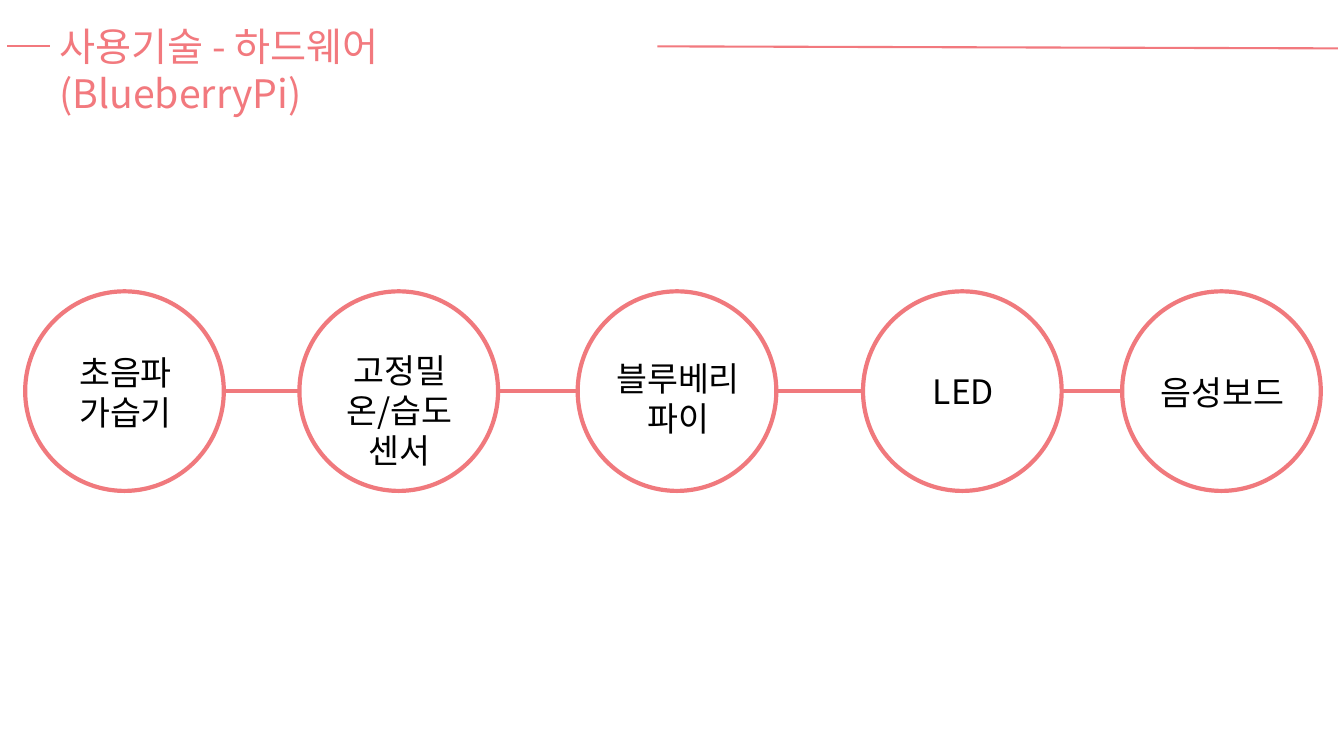
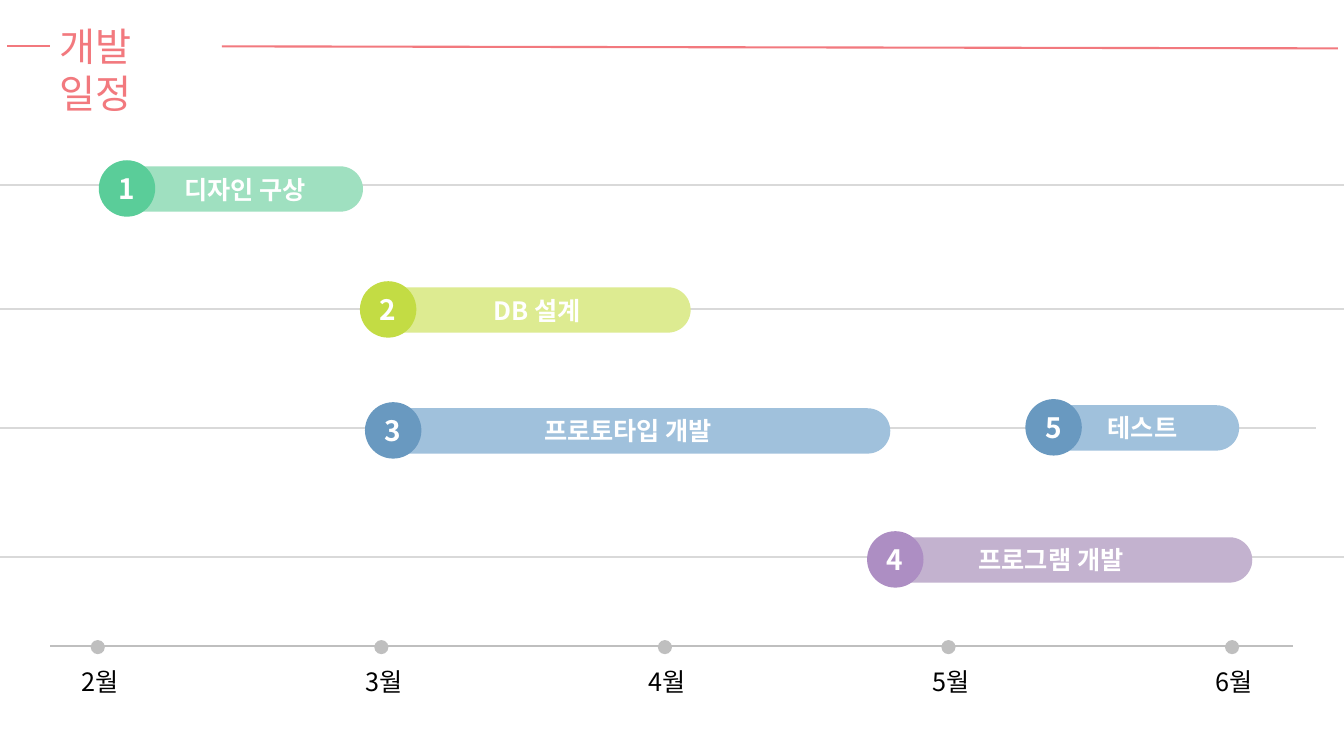
from dataclasses import dataclass

from lxml import etree
from pptx import Presentation
from pptx import util as u
from pptx.dml import color
from pptx.enum import shapes, text
from pptx.oxml import ns


@dataclass(frozen=True)
class Theme:
    font: str = "Noto Sans CJK KR"
    coral: str = "F2797E"
    ring: str = "F0797D"
    white: str = "FFFFFF"
    black: str = "000000"
    grid: str = "D9D9D9"
    axis: str = "BFBFBF"
    title: int = 28
    node: int = 24
    number: int = 20
    label: int = 18


theme = Theme()


def write(frame, words, size, ink, bold=False, align=text.PP_ALIGN.LEFT,
          anchor=text.MSO_ANCHOR.TOP, wrap=True, inset=0.1):
    frame.text = words
    frame.word_wrap = wrap
    frame.auto_size = text.MSO_AUTO_SIZE.NONE
    frame.vertical_anchor = anchor
    frame.margin_left = u.Inches(inset)
    for paragraph in frame.paragraphs:
        paragraph.alignment = align
        for run in paragraph.runs:
            run.font.name = theme.font
            run.font.size = u.Pt(size)
            run.font.bold = bold
            run.font.color.rgb = color.RGBColor.from_string(ink)
            east = etree.SubElement(run.font._element, ns.qn("a:ea"))
            east.set("typeface", theme.font)


def draw(slide, kind, box, ink, width=1.5, edge=None):
    lengths = [u.Inches(value) for value in box]
    if kind is None:
        item = slide.shapes.add_connector(shapes.MSO_CONNECTOR.STRAIGHT, *lengths)
        edge = ink
        etree.SubElement(item._element.spPr, ns.qn("a:effectLst"))
    else:
        item = slide.shapes.add_shape(kind, *lengths)
        item.shadow.inherit = False
        item.fill.solid()
        item.fill.fore_color.rgb = color.RGBColor.from_string(ink)
    if edge:
        item.line.color.rgb = color.RGBColor.from_string(edge)
        item.line.width = u.Pt(width)
    else:
        item.line.fill.background()
    return item


oval = shapes.MSO_SHAPE.OVAL
center = text.PP_ALIGN.CENTER
middle = text.MSO_ANCHOR.MIDDLE

deck = Presentation()
deck.slide_width = u.Inches(13.33)
deck.slide_height = u.Inches(7.5)

headings = [
    ("사용기술 - 하드웨어\v(BlueberryPi)", 6.03, 6.52),
    ("개발\v일정", 1.71, 2.2),
]
for heading, width, rule_start in headings:
    slide = deck.slides.add_slide(deck.slide_layouts[5])
    title = slide.shapes.title
    title.left, title.top, title.width, title.height = [
        u.Inches(value) for value in (0.49, 0.17, width, 1.03)]
    write(title.text_frame, heading, theme.title, theme.coral, wrap=False)
    draw(slide, None, (0.07, 0.46, 0.5, 0.46), theme.coral)
    draw(slide, None, (rule_start, 0.46, 13.27, 0.48), theme.coral)

hardware, schedule = deck.slides

draw(hardware, None, (2.23, 3.88, 11.13, 3.88), theme.ring, 3)
parts = [
    (0.25, 3.44, "초음파\n가습기"),
    (2.97, 3.42, "고정밀\n온/습도\v센서"),
    (5.73, 3.5, "블루베리\n파이"),
    (8.56, 3.63, "LED"),
    (11.13, 3.64, "음성보드"),
]
for left, top, part in parts:
    draw(hardware, oval, (left, 2.89, 1.97, 1.98), theme.white, 3, theme.ring)
    height = 0.1 + 0.4 * len(part.split())
    caption = hardware.shapes.add_textbox(
        u.Inches(left + 0.01), u.Inches(top), u.Inches(1.97), u.Inches(height))
    write(caption.text_frame, part, theme.node, theme.black, align=center)

for row, end in [(1.84, 13.33), (3.07, 13.33), (4.25, 13.05), (5.53, 13.33)]:
    draw(schedule, None, (0, row, end, row), theme.grid)

draw(schedule, None, (0.5, 6.41, 12.82, 6.41), theme.axis)
for step, month in enumerate(["2월", "3월", "4월", "5월", "6월"]):
    dot_left = 0.9 + step * (12.15 - 0.9) / 4
    draw(schedule, oval, (dot_left, 6.35, 0.14, 0.14), theme.axis)
    month_box = schedule.shapes.add_textbox(
        u.Inches(dot_left - 0.19), u.Inches(6.56), u.Inches(0.85), u.Inches(0.4))
    write(month_box.text_frame, month, theme.label, theme.black)

tasks = [
    ("1", "디자인 구상", 0.98, 1.65, 3.6, 1.83, "9FE0C0", "5ACD99"),
    ("2", "DB 설계", 3.57, 2.85, 6.85, 4.9, "DDEB91", "C3DC44"),
    ("3", "프로토타입 개발", 3.62, 4.05, 8.83, 5.4, "A0C1DC", "6999C0"),
    ("4", "프로그램 개발", 8.6, 5.33, 12.42, 9.71, "C3B2CF", "AD8EC3"),
    ("5", "테스트", 10.17, 4.02, 12.29, 10.99, "A0C1DC", "6999C0"),
]
for number, task, left, top, end, task_left, pale, strong in tasks:
    start = left + 0.07
    bar = draw(schedule, shapes.MSO_SHAPE.ROUNDED_RECTANGLE,
               (start, top, end - start, 0.45), pale)
    bar.adjustments[0] = 0.5
    write(bar.text_frame, task, theme.label, theme.white, bold=True,
          anchor=middle, inset=task_left - start - 0.07)
    badge = draw(schedule, oval, (left, top - 0.06, 0.56, 0.56), strong)
    badge.text_frame.margin_right = 0
    write(badge.text_frame, number, theme.number, theme.white, bold=True,
          align=center, anchor=middle, wrap=False, inset=0)

deck.save("out.pptx")
